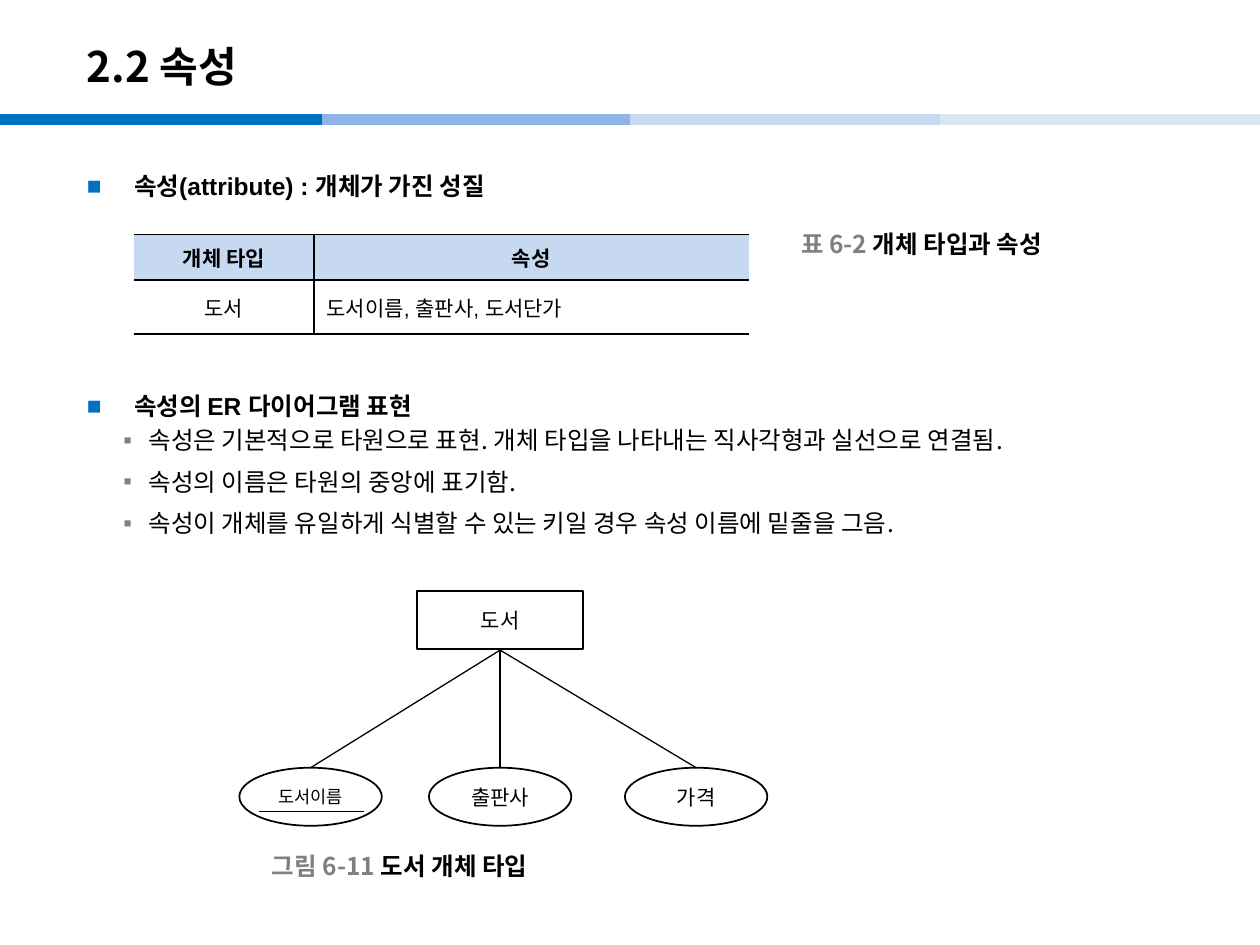
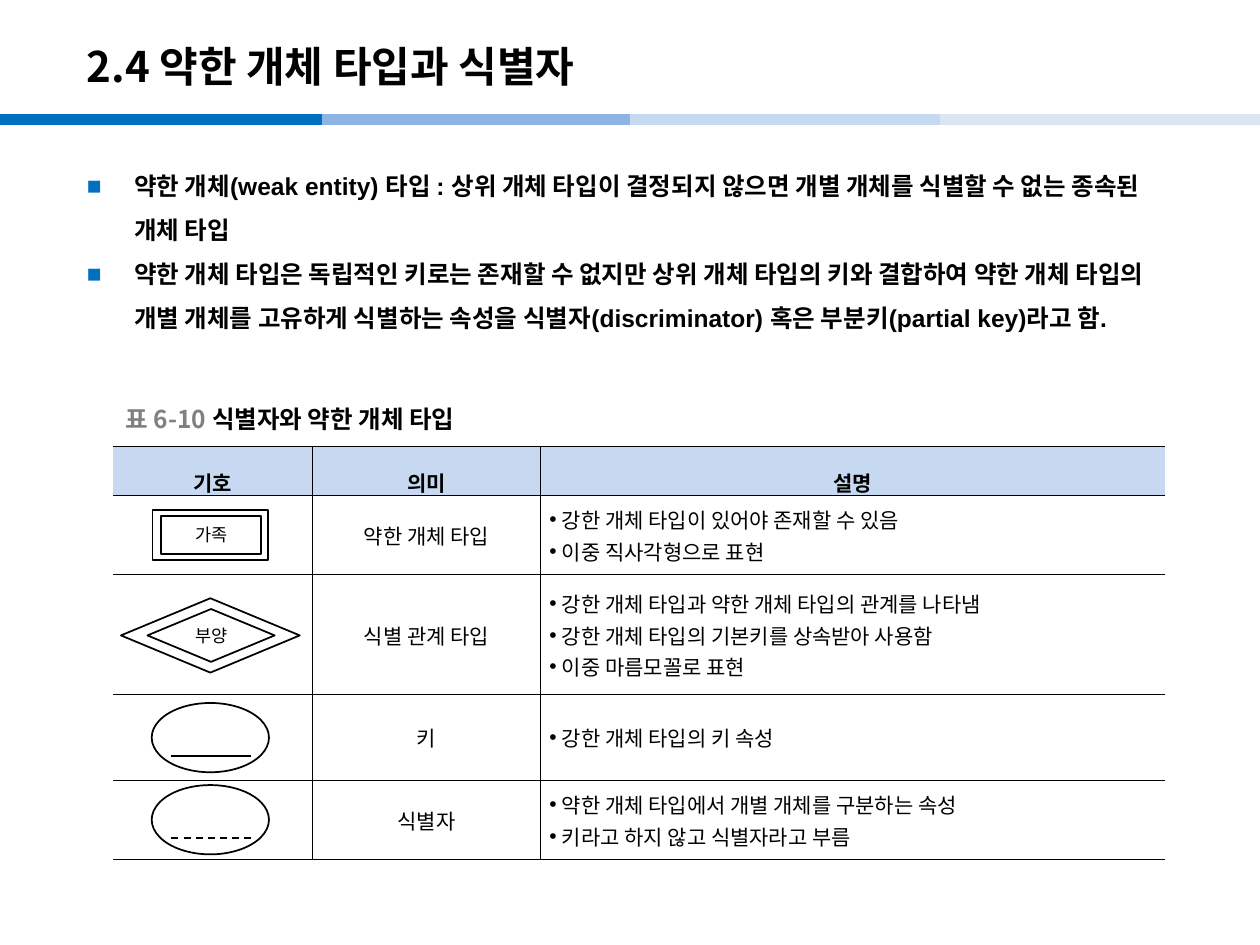
import pptx
import pptx.dml.color
import pptx.enum.dml
import pptx.enum.shapes
import pptx.enum.text
import pptx.oxml.ns
import pptx.util
from lxml import etree

Pt = pptx.util.Pt
qn = pptx.oxml.ns.qn
SHAPE = pptx.enum.shapes.MSO_SHAPE
ALIGN = pptx.enum.text.PP_ALIGN
ANCHOR = pptx.enum.text.MSO_ANCHOR

BLACK, WHITE, GRAY = "000000", "FFFFFF", "808080"
BLUE, HEADER = "0070C0", "C6D9F1"
ARIAL, NOTO = "Arial", "Noto Sans CJK KR"
BANDS = [(0, BLUE), (184.3, "8EB4E3"), (360, HEADER), (537.1, "DCE6F2")]
BAND_LENGTH = 184.3
BODY = (42.5, 85.7, 635, 430)


def rgb(color):
    return pptx.dml.color.RGBColor.from_string(color)


# Text helpers
def add_run(p, text, size, font=NOTO, bold=False, color=BLACK):
    r = p.add_run()
    r.text = text
    r.font.size, r.font.bold, r.font.name = Pt(size), bold, font
    r.font.color.rgb = rgb(color)
    etree.SubElement(r.font._element, qn("a:ea"), typeface=NOTO)


def set_bullet(p, char, left, hang, color=BLACK):
    pPr = p._p.get_or_add_pPr()
    pPr.set("marL", str(Pt(left)))
    pPr.set("indent", str(-Pt(hang)))
    clr = etree.SubElement(pPr, qn("a:buClr"))
    etree.SubElement(clr, qn("a:srgbClr"), val=color)
    etree.SubElement(pPr, qn("a:buFont"), typeface=ARIAL)
    etree.SubElement(pPr, qn("a:buChar"), char=char)


def next_paragraph(tf):
    """Return the first paragraph while it is empty, then new ones."""
    p = tf.paragraphs[-1]
    return tf.add_paragraph() if p.runs else p


def add_box(s, x, y, w, h, anchor=ANCHOR.MIDDLE):
    tf = s.shapes.add_textbox(Pt(x), Pt(y), Pt(w), Pt(h)).text_frame
    tf.word_wrap = True
    tf.vertical_anchor = anchor
    return tf


def add_heading(tf, text):
    p = next_paragraph(tf)
    p.line_spacing = 1.5
    set_bullet(p, "■", 27, 27, BLUE)
    add_run(p, text, 14, ARIAL, True)


def add_point(tf, text):
    p = next_paragraph(tf)
    p.alignment = ALIGN.JUSTIFY
    p.space_before, p.space_after = Pt(2.8), Pt(4)
    set_bullet(p, "▪", 35.3, 14.4, GRAY)
    add_run(p, text, 14)


def add_caption(s, x, y, label, text):
    p = add_box(s, x, y, 230, 22.3).paragraphs[0]
    add_run(p, label + " ", 14, bold=True, color=GRAY)
    add_run(p, text, 14, bold=True)


# Drawing helpers
def add_line(s, x1, y1, x2, y2, width=1.0, color=BLACK, dashed=False):
    c = s.shapes.add_connector(pptx.enum.shapes.MSO_CONNECTOR.STRAIGHT,
                               Pt(x1), Pt(y1), Pt(x2), Pt(y2))
    c.line.width = Pt(width)
    c.line.color.rgb = rgb(color)
    if dashed:
        c.line.dash_style = pptx.enum.dml.MSO_LINE.DASH
    etree.SubElement(c._element.spPr, qn("a:effectLst"))


def add_node(s, kind, cx, cy, w, h, text="", size=12):
    """Draw an outlined shape around its centre."""
    sp = s.shapes.add_shape(kind, Pt(cx - w / 2), Pt(cy - h / 2), Pt(w), Pt(h))
    sp.shadow.inherit = False
    sp.fill.solid()
    sp.fill.fore_color.rgb = rgb(WHITE)
    sp.line.color.rgb = rgb(BLACK)
    sp.line.width = Pt(1)
    if text:
        tf = sp.text_frame
        tf.margin_left = tf.margin_right = tf.margin_top = tf.margin_bottom = 0
        tf.word_wrap = False
        tf.vertical_anchor = ANCHOR.MIDDLE
        tf.paragraphs[0].alignment = ALIGN.CENTER
        add_run(tf.paragraphs[0], text, size)


# Table helpers
def set_borders(cell, width, left, right):
    """Rule the cell above and below, and at the sides asked for."""
    tcPr = cell._tc.get_or_add_tcPr()
    sides = [("L", left), ("R", right), ("T", True), ("B", True)]
    for i, (side, shown) in enumerate(sides):
        ln = etree.Element(qn("a:ln" + side), w=str(Pt(width)))
        if shown:
            fill = etree.SubElement(ln, qn("a:solidFill"))
            etree.SubElement(fill, qn("a:srgbClr"), val=BLACK)
        else:
            etree.SubElement(ln, qn("a:noFill"))
        tcPr.insert(i, ln)


def add_table(s, x, y, widths, heights, rows, border):
    """Build a ruled table; yield each cell with its place and content."""
    table = s.shapes.add_table(len(rows), len(widths), Pt(x), Pt(y),
                               Pt(sum(widths)), Pt(sum(heights))).table
    for col, width in zip(table.columns, widths):
        col.width = Pt(width)
    for row, height in zip(table.rows, heights):
        row.height = Pt(height)
    for i, row in enumerate(rows):
        for j, content in enumerate(row):
            cell = table.cell(i, j)
            cell.vertical_anchor = ANCHOR.MIDDLE
            cell.fill.solid()
            cell.fill.fore_color.rgb = rgb(WHITE if i else HEADER)
            set_borders(cell, border, j > 0, j < len(widths) - 1)
            yield cell, i, j, content


# Parts shared by the slides
def new_slide(prs, title):
    s = prs.slides.add_slide(prs.slide_layouts[6])
    for x, color in BANDS:
        add_line(s, x, 68.4, x + BAND_LENGTH, 68.4, 6, color)
    add_run(add_box(s, 42.5, 15.8, 595.4, 43.2).paragraphs[0], title, 24, bold=True)
    return s


# Slide 1: attributes
def attribute_table(s, x, y):
    rows = [("개체 타입", "속성"), ("도서", "도서이름, 출판사, 도서단가")]
    for cell, i, j, text in add_table(s, x, y, [103, 248.4], [26, 31], rows, 1):
        p = cell.text_frame.paragraphs[0]
        p.alignment = ALIGN.LEFT if i and j else ALIGN.CENTER
        add_run(p, text, 12, ARIAL, i == 0)


def er_diagram(s, x, y):
    entity_x, attribute_y = x + 149, y + 117.4
    add_node(s, SHAPE.RECTANGLE, entity_x, y + 16.6, 95, 33.2, "도서")
    attributes = [(40.7, "도서이름", 10), (149, "출판사", 12), (261, "가격", 12)]
    for dx, name, size in attributes:
        add_node(s, SHAPE.OVAL, x + dx, attribute_y, 81.4, 33.2, name, size)
        add_line(s, entity_x, y + 33.6, x + dx, attribute_y - 16.6, 0.75)
    add_line(s, x + 11.2, y + 125.8, x + 71, y + 125.8)  # key underline


def attribute_slide(prs):
    s = new_slide(prs, "2.2 속성")
    x, y, w, h = BODY
    add_heading(add_box(s, x, y, w, 40, ANCHOR.TOP),
                "속성(attribute) : 개체가 가진 성질")
    tf = add_box(s, x, y + 125.7, w, 110, ANCHOR.TOP)
    add_heading(tf, "속성의 ER 다이어그램 표현")
    for text in (
        "속성은 기본적으로 타원으로 표현. 개체 타입을 나타내는 직사각형과 실선으로 연결됨.",
        "속성의 이름은 타원의 중앙에 표기함.",
        "속성이 개체를 유일하게 식별할 수 있는 키일 경우 속성 이름에 밑줄을 그음.",
    ):
        add_point(tf, text)
    attribute_table(s, 76.4, 133.9)
    er_diagram(s, 136.8, 337.9)
    add_caption(s, 148.3, 483.8, "그림 6-11", "도서 개체 타입")
    add_caption(s, 450.7, 128.2, "표 6-2", "개체 타입과 속성")


# Slide 2: weak entity types
def notation_symbols(s, x, y):
    """Draw the symbol column; x is its centre and y the table top."""
    doubles = [
        (SHAPE.RECTANGLE, 50.8, (66.2, 28.4), (57, 21.6), "가족"),
        (SHAPE.FLOWCHART_DECISION, 108.2, (102.2, 42.5), (72.7, 30.2), "부양"),
    ]
    for kind, dy, outer, inner, text in doubles:
        add_node(s, kind, x, y + dy, *outer)
        add_node(s, kind, x + 0.4, y + dy, *inner, text, 10)
    for dy, dashed in [(166.6, False), (213.5, True)]:
        add_node(s, SHAPE.OVAL, x, y + dy, 67, 39.6)
        line_y = y + dy + 10.4
        add_line(s, x - 22.2, line_y, x + 23.2, line_y, dashed=dashed)


def notation_table(s, x, y):
    rows = [
        ("기호", "의미", "설명"),
        ("", "약한 개체 타입",
         ["강한 개체 타입이 있어야 존재할 수 있음", "이중 직사각형으로 표현"]),
        ("", "식별 관계 타입",
         ["강한 개체 타입과 약한 개체 타입의 관계를 나타냄",
          "강한 개체 타입의 기본키를 상속받아 사용함", "이중 마름모꼴로 표현"]),
        ("", "키", ["강한 개체 타입의 키 속성"]),
        ("", "식별자",
         ["약한 개체 타입에서 개별 개체를 구분하는 속성", "키라고 하지 않고 식별자라고 부름"]),
    ]
    widths, heights = [113.8, 130.3, 357.1], [28.1, 45.4, 68.4, 49, 45.4]
    for cell, i, j, content in add_table(s, x, y, widths, heights, rows, 0.28):
        cell.margin_left = cell.margin_right = Pt(5.1)
        cell.margin_top = cell.margin_bottom = Pt(1.4)
        bulleted = isinstance(content, list)
        for text in content if bulleted else [content]:
            if not text:
                continue
            p = next_paragraph(cell.text_frame)
            p.line_spacing = Pt(18) if i else 1.6
            p.alignment = ALIGN.LEFT if bulleted else ALIGN.CENTER
            if bulleted:
                set_bullet(p, "•", 7.2, 7.2)
            add_run(p, text, 12, ARIAL, i == 0)
    notation_symbols(s, x + 55.4, y)


def weak_entity_slide(prs):
    s = new_slide(prs, "2.4 약한 개체 타입과 식별자")
    tf = add_box(s, *BODY, ANCHOR.TOP)
    add_heading(tf, "약한 개체(weak entity) 타입 : 상위 개체 타입이 결정되지 않으면 "
                    "개별 개체를 식별할 수 없는 종속된 개체 타입")
    add_heading(tf, "약한 개체 타입은 독립적인 키로는 존재할 수 없지만 상위 개체 타입의 "
                    "키와 결합하여 약한 개체 타입의 개별 개체를 고유하게 식별하는 속성을 "
                    "식별자(discriminator) 혹은 부분키(partial key)라고 함.")
    add_caption(s, 64.8, 228.2, "표 6-10", "식별자와 약한 개체 타입")
    notation_table(s, 64.8, 254.9)


def main():
    prs = pptx.Presentation()
    prs.slide_width, prs.slide_height = Pt(720), Pt(540)
    attribute_slide(prs)
    weak_entity_slide(prs)
    prs.save("out.pptx")


if __name__ == "__main__":
    main()
